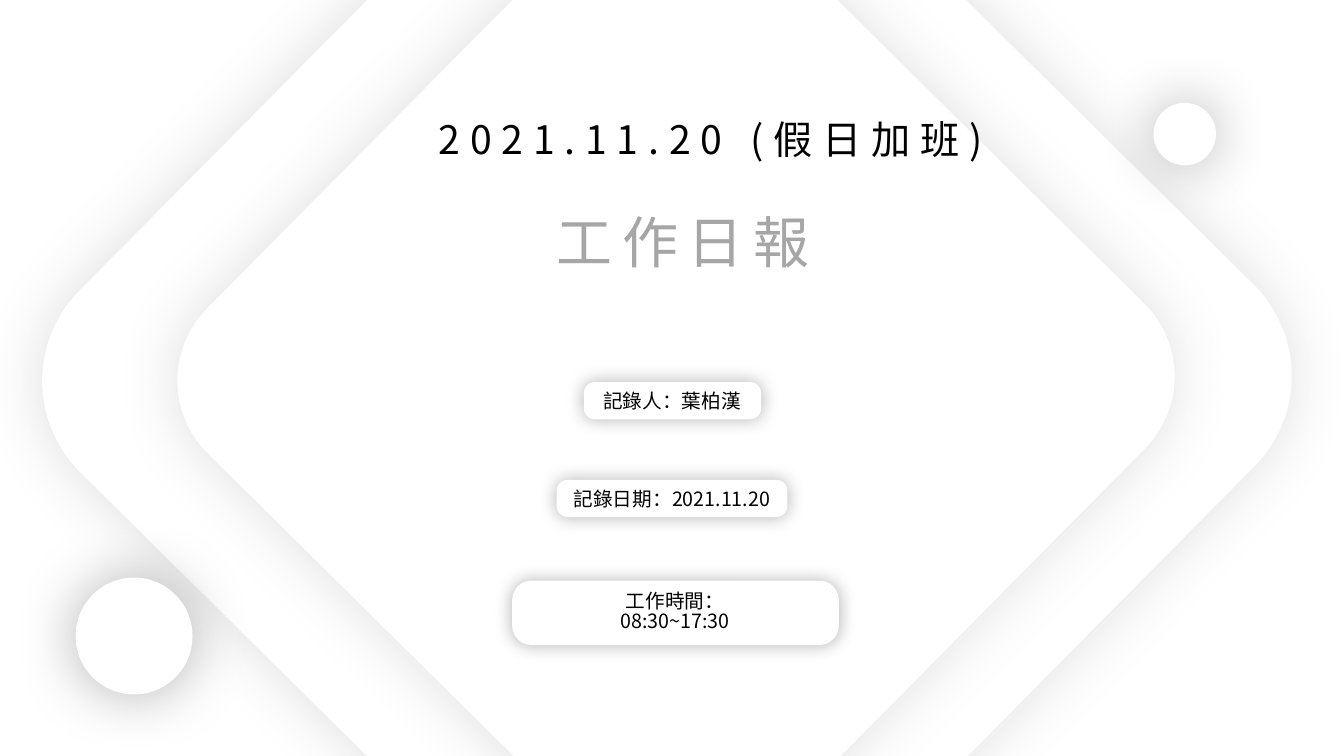
"""Build the cover slide of a daily work report."""
import pptx
import pptx.dml.color
import pptx.enum.shapes
import pptx.enum.text
import pptx.oxml
import pptx.oxml.ns
import pptx.util

PX = 9144
FONT = "Noto Sans CJK SC"
WHITE = pptx.dml.color.RGBColor(0xFF, 0xFF, 0xFF)
BLACK = pptx.dml.color.RGBColor(0x00, 0x00, 0x00)
GRAY = pptx.dml.color.RGBColor(0xA6, 0xA6, 0xA6)
DARK_GRAY = pptx.dml.color.RGBColor(0x59, 0x59, 0x59)
ROUNDED = pptx.enum.shapes.MSO_SHAPE.ROUNDED_RECTANGLE
OVAL = pptx.enum.shapes.MSO_SHAPE.OVAL


def to_emu(*lengths):
    return [length * PX for length in lengths]


def add_shadow(shape, color, opacity, blur):
    shape.shadow.inherit = False
    effects = shape.element.spPr.find(pptx.oxml.ns.qn("a:effectLst"))
    effects.append(pptx.oxml.parse_xml(
        f'<a:outerShdw {pptx.oxml.ns.nsdecls("a")} blurRad="{pptx.util.Pt(blur)}" '
        f'dist="0" dir="0" algn="ctr" rotWithShape="0"><a:srgbClr val="{color}">'
        f'<a:alpha val="{opacity * 1000}"/></a:srgbClr></a:outerShdw>'))


def add_raised_shape(shapes, kind, box, shadow, corner=None, rotation=0):
    shape = shapes.add_shape(kind, *to_emu(*box))
    shape.fill.solid()
    shape.fill.fore_color.rgb = WHITE
    shape.line.fill.background()
    shape.rotation = rotation
    if corner is not None:
        shape.adjustments[0] = corner
    add_shadow(shape, *shadow)


def write_text(shape, lines, size, color, spacing=0):
    frame = shape.text_frame
    frame.word_wrap = True
    frame.auto_size = pptx.enum.text.MSO_AUTO_SIZE.NONE
    frame.vertical_anchor = pptx.enum.text.MSO_ANCHOR.MIDDLE
    frame.margin_top = frame.margin_bottom = 0
    for index, line in enumerate(lines):
        paragraph = frame.add_paragraph() if index else frame.paragraphs[0]
        paragraph.alignment = pptx.enum.text.PP_ALIGN.CENTER
        paragraph.line_spacing = 0.85 if len(lines) > 1 else 1.0
        run = paragraph.add_run()
        run.text = line
        run.font.size = pptx.util.Pt(size)
        run.font.name = FONT
        run.font.color.rgb = color
        properties = run.font._element
        properties.set("spc", str(spacing * 100))
        east_asian = pptx.oxml.parse_xml(
            f'<a:ea {pptx.oxml.ns.nsdecls("a")} typeface="{FONT}"/>')
        properties.find(pptx.oxml.ns.qn("a:latin")).addnext(east_asian)


def add_text(shapes, box, lines, size, color, spacing=0):
    write_text(shapes.add_textbox(*to_emu(*box)), lines, size, color, spacing)


def place_title(slide, box, text):
    title = slide.shapes.title
    title.left, title.top, title.width, title.height = to_emu(*box)
    write_text(title, [text], 40, GRAY, spacing=7)
    title.element.getparent().append(title.element)


def add_label(slide, card_box, text_box, lines):
    group = slide.shapes.add_group_shape()
    add_raised_shape(group.shapes, ROUNDED, card_box, (BLACK, 30, 13), corner=0.3)
    add_text(group.shapes, text_box, lines, 14, BLACK)


def main():
    presentation = pptx.Presentation()
    presentation.slide_width, presentation.slide_height = to_emu(1333, 750)
    slide = presentation.slides.add_slide(presentation.slide_layouts[5])
    slide.background.fill.solid()
    slide.background.fill.fore_color.rgb = WHITE

    for diamond in ((186, -100, 951, 951), (291, -4, 759, 759)):
        add_raised_shape(slide.shapes, ROUNDED, diamond, (DARK_GRAY, 19, 43),
                         corner=0.134, rotation=44.7)
    add_text(slide.shapes, (266, 109, 878, 57), ["2021.11.20 (假日加班)"], 28, BLACK, spacing=7)
    place_title(slide, (440, 201, 475, 77), "工作日報")
    for circle in ((75, 573, 116, 116), (1144, 102, 62, 62)):
        add_raised_shape(slide.shapes, OVAL, circle, (BLACK, 30, 43))

    add_label(slide, (579, 379, 176, 37), (562, 381, 209, 34), ["記錄人：葉柏漢"])
    add_label(slide, (552, 476, 229, 37), (546, 478, 241, 34), ["記錄日期：2021.11.20"])
    add_label(slide, (508, 576, 324, 64), (499, 579, 341, 57), ["工作時間：", "08:30~17:30"])
    presentation.save("out.pptx")


if __name__ == "__main__":
    main()
